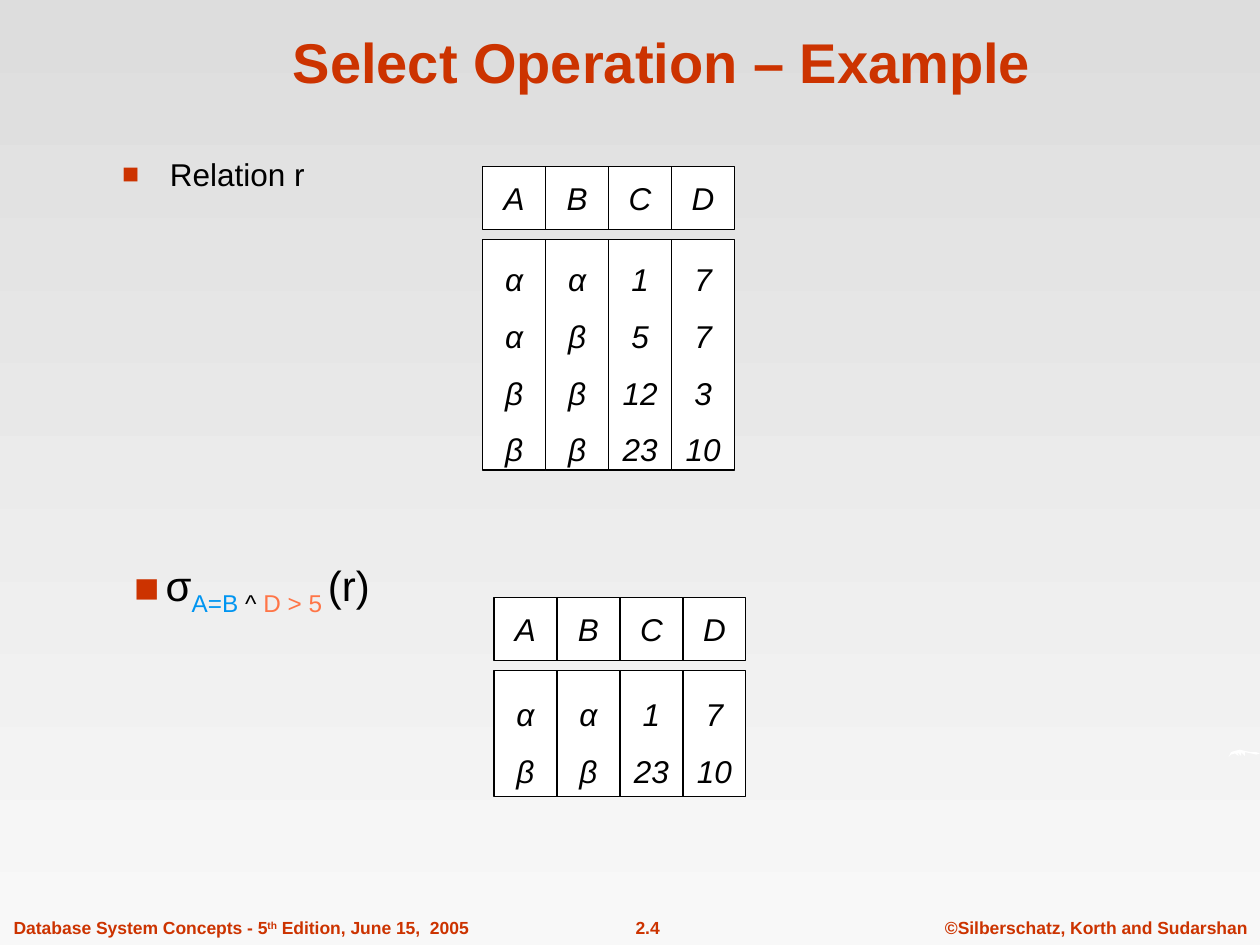
"""Build the slide showing a relation and the result of a select operation."""
from lxml import etree
from pptx import Presentation
from pptx.dml.color import RGBColor
from pptx.enum.shapes import MSO_SHAPE
from pptx.enum.text import MSO_ANCHOR, MSO_AUTO_SIZE, PP_ALIGN
from pptx.oxml.ns import qn
from pptx.util import Inches, Pt

LEFT, CENTER = PP_ALIGN.LEFT, PP_ALIGN.CENTER
TOP, MIDDLE, BOTTOM = MSO_ANCHOR.TOP, MSO_ANCHOR.MIDDLE, MSO_ANCHOR.BOTTOM
FIT_SHAPE, FIXED = MSO_AUTO_SIZE.SHAPE_TO_FIT_TEXT, MSO_AUTO_SIZE.NONE
RECTANGLE = MSO_SHAPE.RECTANGLE
RED, BLACK, WHITE = "CC3300", "000000", "FFFFFF"
BLUE, ORANGE = "0095F1", "FF7547"
CELL = 0.5


def rgb(value):
    return RGBColor.from_string(value)


def write(shape, lines, size, color=BLACK, align=CENTER, anchor=MIDDLE, wrap=False, fit=FIXED):
    frame = shape.text_frame
    frame.word_wrap = wrap
    frame.auto_size = fit
    frame.vertical_anchor = anchor
    for index, pieces in enumerate(lines):
        para = frame.paragraphs[0] if index == 0 else frame.add_paragraph()
        para.alignment = align
        para.font.name = "Arial"
        para.font.size = Pt(size)
        para.font.color.rgb = rgb(color)
        for text, baseline, span_color in pieces:
            span = para.add_run()
            span.text = text
            if baseline:
                span.font._element.set("baseline", str(baseline * 1000))
            if span_color:
                span.font.color.rgb = rgb(span_color)
    return frame.paragraphs


deck = Presentation()
deck.slide_width, deck.slide_height = Inches(10), Inches(7.5)
page = deck.slides.add_slide(deck.slide_layouts[6])

backdrop = page.background.fill
backdrop.gradient()
backdrop.gradient_angle = 270
for stop, color in zip(backdrop.gradient_stops, ("DDDDDD", "F8F8F8")):
    stop.color.rgb = rgb(color)

footers = [
    (7.4, 2.6, CENTER, [("©Silberschatz, Korth and Sudarshan", 0, None)]),
    (4.65, 0.98, CENTER, [("2.4", 0, None)]),
    (0.01, 3.81, LEFT, [("Database System Concepts - 5", 0, None), ("th", 30, None),
                        (" Edition, June 15,  2005", 0, None)]),
]
for left, width, align, pieces in footers:
    box = page.shapes.add_textbox(Inches(left), Inches(7.23), Inches(width), Inches(0.27))
    para = write(box, [pieces], 10, RED, align, TOP, fit=FIT_SHAPE)[0]
    para.space_before = Pt(6.2)
    para.font.bold = True

swoosh_points = [
    (9.75, 6.01), (9.77, 5.97), (9.8, 5.96), (9.84, 5.95), (9.88, 5.96), (9.93, 5.97),
    (9.97, 5.97), (10, 5.98), (9.97, 5.99), (9.93, 5.98), (9.88, 5.97), (9.88, 6),
    (9.85, 5.97), (9.85, 6), (9.82, 5.97), (9.83, 6), (9.8, 5.98), (9.77, 5.99),
]
points = [(Inches(x), Inches(y)) for x, y in swoosh_points]
outline = page.shapes.build_freeform(*points[0])
outline.add_line_segments(points[1:], close=True)
swoosh = outline.convert_to_shape()
swoosh.shadow.inherit = False
swoosh.fill.solid()
swoosh.fill.fore_color.rgb = rgb(WHITE)
swoosh.line.fill.background()

title = page.shapes.add_textbox(Inches(0.84), Inches(0.13), Inches(8.83), Inches(0.67))
heading = write(title, [[("Select Operation – Example", 0, None)]], 32, RED, anchor=BOTTOM, wrap=True)[0]
heading.font.bold = True

relation = page.shapes.add_textbox(Inches(0.87), Inches(1.18), Inches(1.79), Inches(0.4))
relation_para = write(relation, [[("Relation r", 0, None)]], 18, align=LEFT, anchor=TOP, wrap=True)[0]

selection = page.shapes.add_textbox(Inches(0.96), Inches(4.39), Inches(2.08), Inches(0.56))
selection_pieces = [("σ", 0, None), ("A=B", -25, BLUE), (" ^ ", -25, None),
                    ("D > 5", -25, ORANGE), (" ", -25, None), ("(r)", 0, None)]
selection_para = write(selection, [selection_pieces], 24, fit=FIT_SHAPE)[0]
selection_para.runs[4].font.size = Pt(20)

for para, indent, before, percent in ((relation_para, 0.38, 7.9, 90), (selection_para, 0.25, 15, 100)):
    para.space_before = Pt(before)
    properties = para._p.get_or_add_pPr()
    properties.set("marL", str(Inches(indent)))
    properties.set("indent", str(-Inches(indent)))
    bullet_color = etree.Element(qn("a:buClr"))
    etree.SubElement(bullet_color, qn("a:srgbClr"), val=RED)
    bullet_size = etree.Element(qn("a:buSzPct"), val=str(percent * 1000))
    bullet_font = etree.Element(qn("a:buFont"), typeface="Arial")
    bullet_mark = etree.Element(qn("a:buChar"), char="■")
    font_defaults = properties.find(qn("a:defRPr"))
    for element in (bullet_color, bullet_size, bullet_font, bullet_mark):
        font_defaults.addprevious(element)

relations = [
    (3.83, 1.32, 1.83, [("α", "α", "1", "7"), ("α", "β", "5", "7"),
                        ("β", "β", "12", "3"), ("β", "β", "23", "10")]),
    (3.92, 4.74, 1, [("α", "α", "1", "7"), ("β", "β", "23", "10")]),
]
for left, top, body_height, rows in relations:
    bands = [(top, CELL, [("A", "B", "C", "D")], 1), (top + 0.58, body_height, rows, 1.5)]
    for band_top, height, band_rows, spacing in bands:
        for index, values in enumerate(zip(*band_rows)):
            column = page.shapes.add_shape(RECTANGLE, Inches(left + index * CELL), Inches(band_top),
                                           Inches(CELL), Inches(height))
            column.shadow.inherit = False
            column.fill.solid()
            column.fill.fore_color.rgb = rgb(WHITE)
            column.line.color.rgb = rgb(BLACK)
            column.line.width = Pt(0.75)
            for para in write(column, [[(value, 0, None)] for value in values], 18):
                para.line_spacing = float(spacing)
                para.font.italic = True

deck.save("out.pptx")
